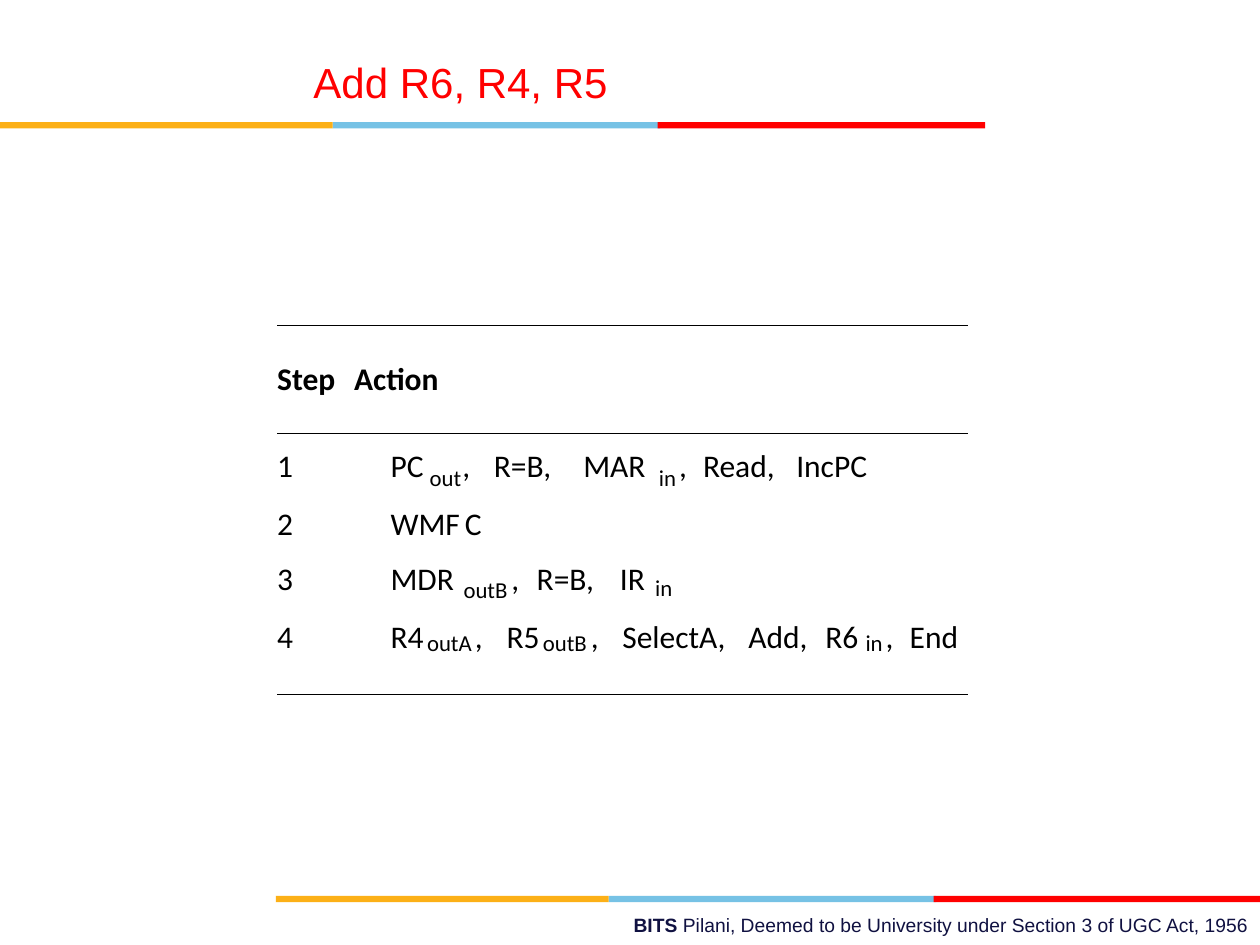
from pptx import Presentation
from pptx.dml.color import RGBColor
from pptx.enum.shapes import MSO_CONNECTOR as CONN, MSO_SHAPE as SHAPE
from pptx.enum.text import MSO_ANCHOR as ANCHOR, PP_ALIGN as ALIGN
from pptx.oxml.ns import qn
from pptx.util import Inches, Pt
from lxml import etree

COLORS = {"gold": "FCB017", "blue": "76C2E5", "red": "FF0000",
          "navy": "101141", "black": "000000"}
TITLE = "Add R6, R4, R5"
FOOTER = [("BITS ", True),
          ("Pilani, Deemed to be University under Section 3 of UGC Act, 1956", False)]

BANDS = [(0, 0.97), (2.19, 7.11)]
SEGMENTS = [("blue", 2.64, 2.6), ("gold", 0, 2.64), ("red", 5.22, 2.6)]

TABLE_LEFT, TABLE_WIDTH = 2.2, 5.48
RULES = [2.58, 3.44, 5.51]
HEADINGS = [(2.2, 0.54, "Step"), (2.81, 0.78, "Action")]
HEADING_TOP = 2.85
SUBSCRIPTS = {"out", "in", "outA", "outB"}

# Each step: top, subscript tops, and (left, width, text) pieces.
STEPS = [
    (3.54, [3.68, 3.68],
     [(3.1, 0.35, "PC"), (3.41, 0.25, "out"), (3.67, 0.07, ","),
      (3.92, 0.56, "R=B,"), (4.63, 0.56, "MAR"), (5.23, 0.14, "in"),
      (5.39, 0.07, ","), (5.58, 0.67, "Read,"), (6.32, 0.68, "IncPC")]),
    (4.0, [], [(3.1, 0.6, "WMF"), (3.69, 0.18, "C")]),
    (4.44, [4.57, 4.55],
     [(3.1, 0.57, "MDR"), (3.68, 0.37, "outB"), (4.06, 0.07, ","),
      (4.26, 0.56, "R=B,"), (4.92, 0.25, "IR"), (5.2, 0.14, "in")]),
    (4.9, [4.99, 4.99, 4.99],
     [(3.1, 0.32, "R4"), (3.39, 0.37, "outA"), (3.77, 0.07, ","),
      (4.02, 0.32, "R5"), (4.31, 0.37, "outB"), (4.69, 0.07, ","),
      (4.94, 0.93, "SelectA,"), (5.94, 0.51, "Add,"), (6.55, 0.32, "R6"),
      (6.87, 0.14, "in"), (7.03, 0.07, ","), (7.22, 0.44, "End")]),
]


def rgb(name):
    return RGBColor.from_string(COLORS[name])


def add_text(slide, box, runs, size, font="Calibri", color="black",
             align=ALIGN.LEFT, anchor=ANCHOR.TOP, inset=(0, 0), wrap=False):
    tf = slide.shapes.add_textbox(*map(Inches, box)).text_frame
    tf.word_wrap = wrap
    tf.vertical_anchor = anchor
    tf.margin_left = tf.margin_right = Inches(inset[0])
    tf.margin_top = tf.margin_bottom = Inches(inset[1])
    p = tf.paragraphs[0]
    p.alignment = align
    p.font.size, p.font.name = Pt(size), font
    p.font.color.rgb = rgb(color)
    for text, bold in runs:
        r = p.add_run()
        r.text = text
        r.font.bold = bold


def add_band(slide, left, top):
    for color, offset, width in SEGMENTS:
        sp = slide.shapes.add_shape(SHAPE.RECTANGLE, Inches(left + offset), Inches(top),
                                    Inches(width), Inches(0.05))
        sp.shadow.inherit = False
        sp.fill.solid()
        sp.fill.fore_color.rgb = rgb(color)
        sp.line.fill.background()


def add_rule(slide, top):
    line = slide.shapes.add_connector(CONN.STRAIGHT, Inches(TABLE_LEFT), Inches(top),
                                      Inches(TABLE_LEFT + TABLE_WIDTH), Inches(top))
    line.line.color.rgb = rgb("black")
    line.line.width = Pt(0.5)
    etree.SubElement(line._element.spPr, qn("a:effectLst"))


def main():
    prs = Presentation()
    prs.slide_width, prs.slide_height = Inches(10), Inches(7.5)
    slide = prs.slides.add_slide(prs.slide_layouts[6])

    for left, top in BANDS:
        add_band(slide, left, top)
    add_text(slide, (3.46, 7.2, 6.55, 0.29), FOOTER, 11, "Arial", "navy",
             ALIGN.RIGHT, inset=(0.1, 0.05), wrap=True)
    add_text(slide, (0.13, 0.2, 7.05, 0.65), [(TITLE, False)], 24, "Arial", "red",
             ALIGN.CENTER, ANCHOR.BOTTOM, wrap=True)

    for top in RULES:
        add_rule(slide, top)
    for left, width, text in HEADINGS:
        add_text(slide, (left, HEADING_TOP, width, 0.3), [(text, True)], 18)
    for number, (top, sub_tops, pieces) in enumerate(STEPS, 1):
        add_text(slide, (TABLE_LEFT, top, 0.14, 0.3), [(str(number), False)], 18)
        subs = iter(sub_tops)
        for left, width, text in pieces:
            if text in SUBSCRIPTS:
                add_text(slide, (left, next(subs), width, 0.22), [(text, False)], 13)
            else:
                add_text(slide, (left, top, width, 0.3), [(text, False)], 18)

    prs.save("out.pptx")


if __name__ == "__main__":
    main()
